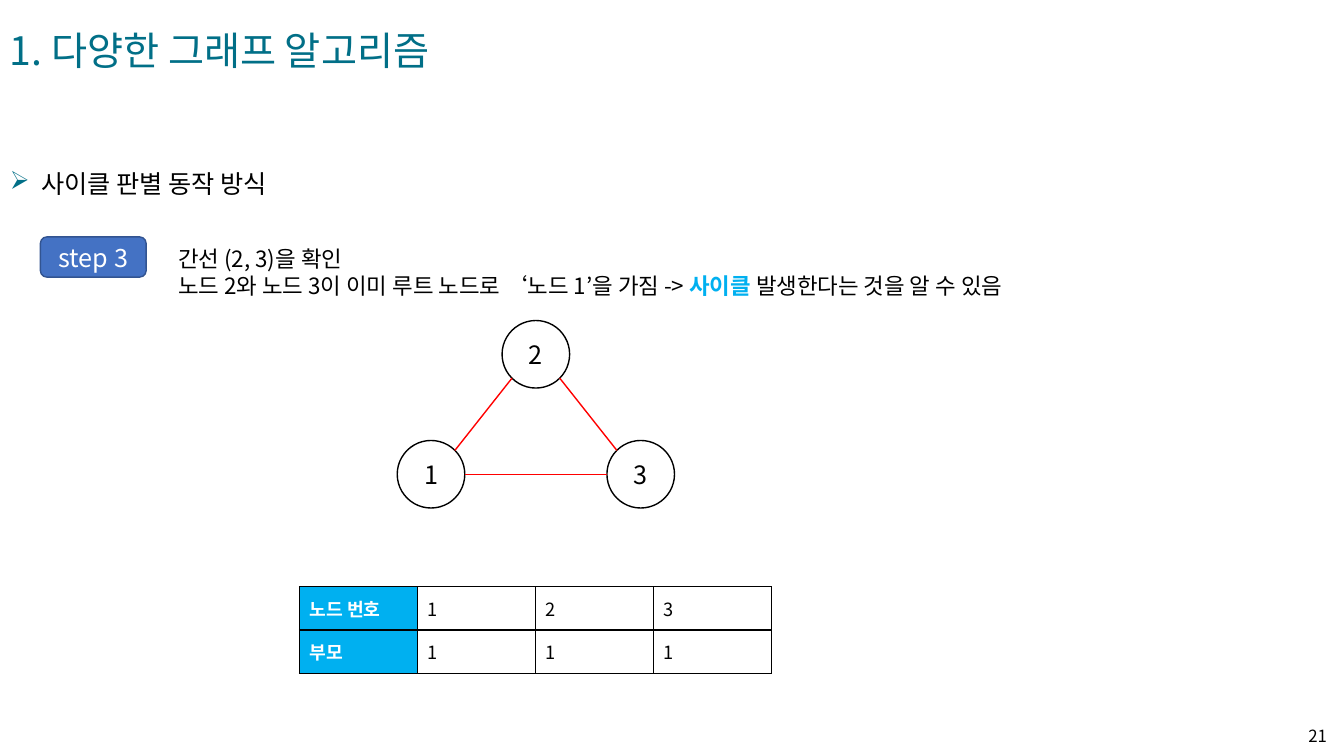
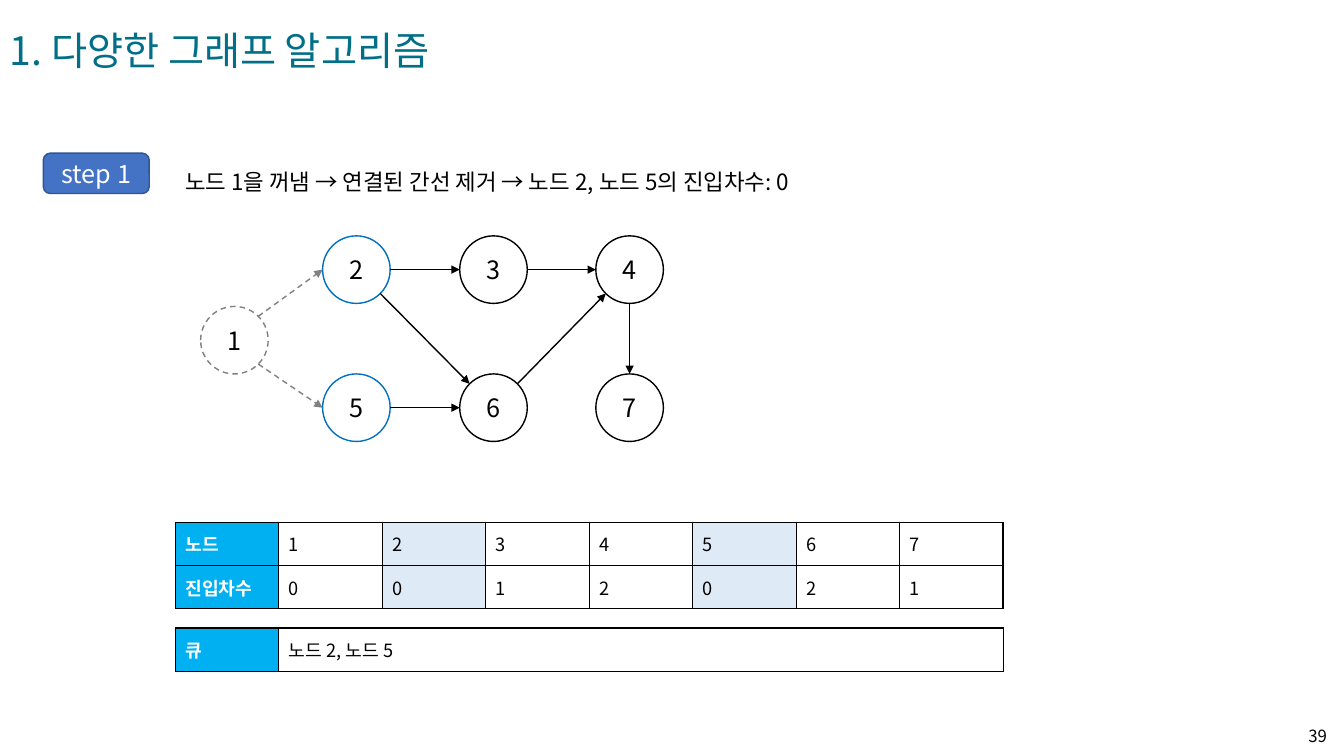
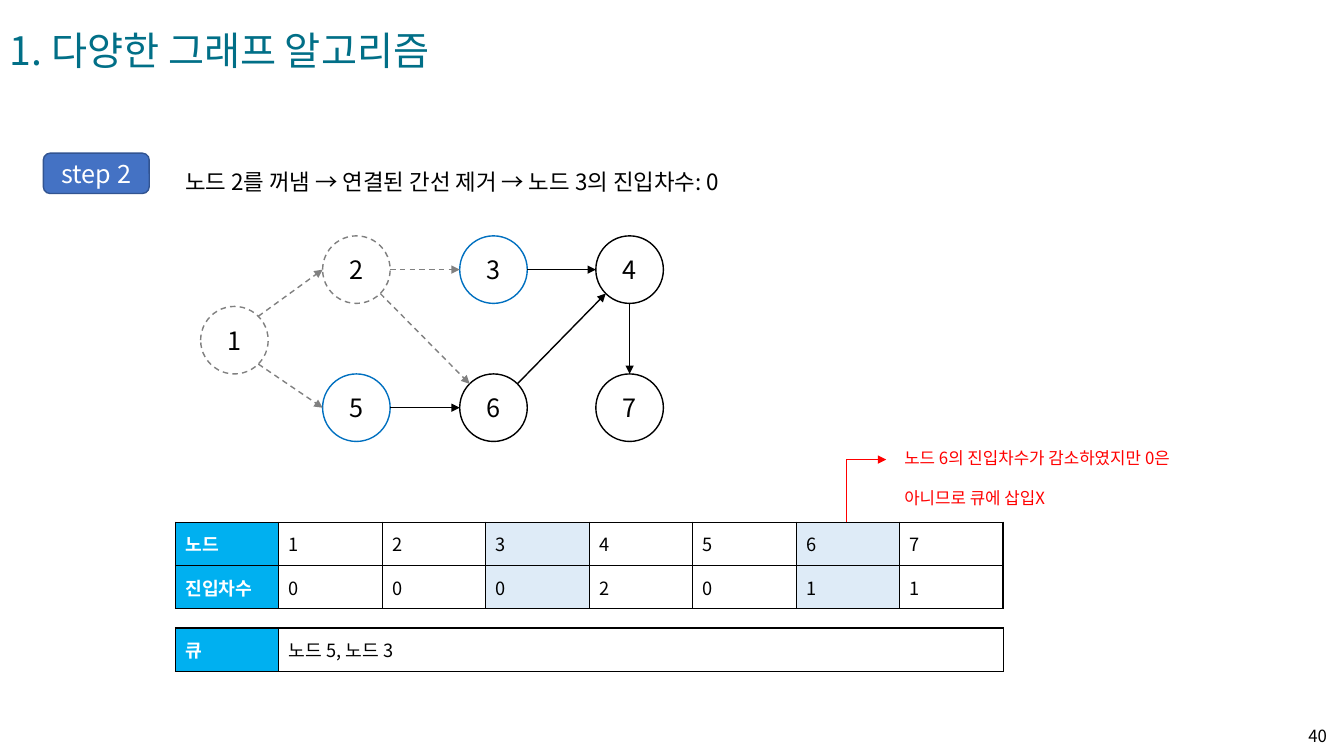
from dataclasses import dataclass

from lxml import etree
from pptx import Presentation
from pptx import util as u
from pptx.dml.color import RGBColor
from pptx.enum import dml, shapes, text
from pptx.oxml import ns

PX = 9144  # EMU per px, 100 px to the inch


@dataclass(frozen=True)
class Theme:
    font: str = "Noto Sans CJK KR"
    # colours
    teal: str = "016F87"
    black: str = "000000"
    white: str = "FFFFFF"
    badge: str = "4472C4"
    badge_line: str = "325491"
    header: str = "00B0F0"
    mark: str = "DEEBF7"
    gray: str = "808080"
    blue: str = "0070C0"
    red: str = "FF0000"
    # type sizes
    title: int = 28
    large: int = 18
    body: int = 16
    cell: int = 13
    small: int = 12


T = Theme()

# Node and edge states: colour, dashed
PLAIN, READY, REMOVED = (T.black, False), (T.blue, False), (T.gray, True)

DIAGONAL = 0.5 ** 0.5
RIM = {"n": (0, -1), "e": (1, 0), "s": (0, 1), "w": (-1, 0),
       "ne": (DIAGONAL, -DIAGONAL), "se": (DIAGONAL, DIAGONAL),
       "sw": (-DIAGONAL, DIAGONAL), "nw": (-DIAGONAL, -DIAGONAL)}
NODE = 67  # circle diameter

CYCLE_NODES = {1: (394, 437), 2: (498, 318), 3: (602, 437)}
CYCLE_EDGES = [(2, "sw", 1, "ne"), (1, "e", 3, "w"), (2, "se", 3, "nw")]

COLUMNS, ROWS = (320, 456, 591), (234, 371)
TOPO_NODES = {1: (199, 304)}
TOPO_NODES.update({2 + 3 * j + i: (x, y)
                   for j, y in enumerate(ROWS) for i, x in enumerate(COLUMNS)})
TOPO_EDGES = [(1, "ne", 2, "w"), (1, "se", 5, "w"), (2, "e", 3, "w"),
              (5, "e", 6, "w"), (2, "se", 6, "nw"), (6, "ne", 4, "sw"),
              (3, "e", 4, "w"), (4, "s", 7, "n")]


# ---- helpers ----
def emu(*lengths):
    return [round(v * PX) for v in lengths]


def rgb(value):
    return RGBColor.from_string(value)


def sub(parent, tag, **attrs):
    return etree.SubElement(parent, ns.qn(tag), attrs)


def add_run(p, words, size, color, bold=False):
    r = p.add_run()
    r.text = words
    r.font.size, r.font.bold, r.font.name = u.Pt(size), bold, T.font
    r.font.color.rgb = rgb(color)
    sub(r.font._element, "a:ea", typeface=T.font)


def style_line(line, color, width=1, dashed=False):
    line.color.rgb = rgb(color)
    line.width = u.Pt(width)
    if dashed:
        line.dash_style = dml.MSO_LINE.DASH


# ---- elements ----
def add_text(s, box, paragraphs, size, color=T.black, wrap=True, spacing=None):
    """Each paragraph is a list of (words, colour or None, bold) runs or plain strings."""
    tf = s.shapes.add_textbox(*emu(*box)).text_frame
    tf.word_wrap = wrap
    tf.auto_size = text.MSO_AUTO_SIZE.SHAPE_TO_FIT_TEXT
    for i, runs in enumerate(paragraphs):
        p = tf.add_paragraph() if i else tf.paragraphs[0]
        if spacing:
            p.line_spacing = spacing
        for run in runs:
            words, tint, bold = (run, color, False) if isinstance(run, str) else run
            add_run(p, words, size, tint, bold)
    return tf


def add_bullet(p, char, color, indent):
    pPr = p._p.get_or_add_pPr()
    pPr.set("marL", str(indent * PX))
    pPr.set("indent", str(-indent * PX))
    sub(sub(pPr, "a:buClr"), "a:srgbClr", val=color)
    sub(pPr, "a:buChar", char=char)


def add_label_shape(s, kind, box, words, color, fill, line, dashed=False):
    sp = s.shapes.add_shape(kind, *emu(*box))
    sp.shadow.inherit = False
    if fill:
        sp.fill.solid()
        sp.fill.fore_color.rgb = rgb(fill)
    else:
        sp.fill.background()
    style_line(sp.line, line, dashed=dashed)
    tf = sp.text_frame
    tf.vertical_anchor = text.MSO_ANCHOR.MIDDLE
    p = tf.paragraphs[0]
    p.alignment = text.PP_ALIGN.CENTER
    add_run(p, words, T.large, color)


def add_badge(s, x, y, words):
    add_label_shape(s, shapes.MSO_SHAPE.ROUNDED_RECTANGLE, (x, y, 105, 40),
                    words, T.white, T.badge, T.badge_line)


def add_line(s, start, end, color, width=1, dashed=False, arrow=True, elbow=False):
    kind = shapes.MSO_CONNECTOR.ELBOW if elbow else shapes.MSO_CONNECTOR.STRAIGHT
    c = s.shapes.add_connector(kind, *emu(*start, *end))
    style_line(c.line, color, width, dashed)
    if arrow:
        sub(c.line._get_or_add_ln(), "a:tailEnd", type="triangle")
    sub(c._element.spPr, "a:effectLst")
    if elbow:  # turn at the start: straight up, then across
        guides = c._element.spPr.prstGeom.get_or_add_avLst()
        sub(guides, "a:gd", name="adj1", fmla="val 0")


def rim_point(corner, side):
    return [c + NODE / 2 * (1 + d) for c, d in zip(corner, RIM[side])]


def add_graph(s, nodes, edges, states=None, edge_color=T.black, arrow=True):
    """Edges leaving a removed node are drawn like that node."""
    states = states or {}
    for name, corner in nodes.items():
        line, dashed = states.get(name, PLAIN)
        add_label_shape(s, shapes.MSO_SHAPE.OVAL, (*corner, NODE, NODE),
                        str(name), T.black, None, line, dashed)
    for a, side_a, b, side_b in edges:
        removed = states.get(a) == REMOVED
        color, dashed = REMOVED if removed else (edge_color, False)
        add_line(s, rim_point(nodes[a], side_a), rim_point(nodes[b], side_b),
                 color, dashed=dashed, arrow=arrow)


def add_grid(s, x, y, width, rows, weights=None, marked=()):
    """A table with a coloured first column; marked columns are tinted."""
    weights = weights or [1] * len(rows[0])
    height = 43
    frame = s.shapes.add_table(len(rows), len(weights),
                               *emu(x, y, width, height * len(rows)))
    table = frame.table
    table.first_row = table.horz_banding = False
    for column, weight in zip(table.columns, weights):
        column.width = round(width * PX * weight / sum(weights))
    for i, row in enumerate(rows):
        table.rows[i].height = height * PX
        for j, words in enumerate(row):
            cell = table.cell(i, j)
            cell.vertical_anchor = text.MSO_ANCHOR.MIDDLE
            tcPr = cell._tc.get_or_add_tcPr()
            for side in "LRTB":
                ln = sub(tcPr, "a:ln" + side, w=str(u.Pt(1)))
                sub(sub(ln, "a:solidFill"), "a:srgbClr", val=T.black)
            fill = T.header if j == 0 else T.mark if j in marked else None
            if fill:
                cell.fill.solid()
                cell.fill.fore_color.rgb = rgb(fill)
            else:
                cell.fill.background()
            add_run(cell.text_frame.paragraphs[0], words, T.cell,
                    T.black if j else T.white, j == 0)


# ---- slides ----
def new_slide(prs, page):
    """Blank slide with the shared title and page number."""
    s = prs.slides.add_slide(prs.slide_layouts[6])
    add_text(s, (0, 21, 485, 57), [["1. 다양한 그래프 알고리즘"]], T.title, T.teal, wrap=False)
    tf = add_text(s, (1269, 710, 57, 40), [[str(page)]], T.small)
    tf.auto_size = text.MSO_AUTO_SIZE.NONE
    tf.vertical_anchor = text.MSO_ANCHOR.MIDDLE
    tf.paragraphs[0].alignment = text.PP_ALIGN.RIGHT
    return s


def cycle_slide(prs):
    s = new_slide(prs, 21)
    tf = add_text(s, (0, 132, 674, 63), [["사이클 판별 동작 방식"]], T.large, spacing=2.0)
    add_bullet(tf.paragraphs[0], "➢", T.teal, 31)
    add_badge(s, 40, 235, "step 3")
    add_text(s, (167, 238, 998, 64), [
        ["간선 (2, 3)을 확인"],
        ["노드 2와 노드 3이 이미 루트 노드로 ‘노드 1’을 가짐 -> ",
         ("사이클", T.header, True), " 발생한다는 것을 알 수 있음"],
    ], T.body)
    add_graph(s, CYCLE_NODES, CYCLE_EDGES, edge_color=T.red, arrow=False)
    add_grid(s, 297, 582, 468, [["노드 번호", *"123"], ["부모", *"111"]])


def topology_slide(prs, page, step, words, states, degrees, marked, queue):
    s = new_slide(prs, page)
    add_badge(s, 43, 152, step)
    add_text(s, (174, 135, 811, 56), [[words]], T.body, spacing=2.0)
    add_graph(s, TOPO_NODES, TOPO_EDGES, states)
    add_grid(s, 174, 518, 821, [["노드", *"1234567"], ["진입차수", *degrees]], marked=marked)
    add_grid(s, 174, 623, 821, [["큐", queue]], weights=(1, 7))
    return s


def main():
    prs = Presentation()
    prs.slide_width, prs.slide_height = emu(1333, 750)

    cycle_slide(prs)
    topology_slide(prs, 39, "step 1",
                   "노드 1을 꺼냄 → 연결된 간선 제거 → 노드 2, 노드 5의 진입차수: 0",
                   {1: REMOVED, 2: READY, 5: READY}, "0012021", (2, 5), "노드 2, 노드 5")
    s = topology_slide(prs, 40, "step 2",
                       "노드 2를 꺼냄 → 연결된 간선 제거 → 노드 3의 진입차수: 0",
                       {1: REMOVED, 2: REMOVED, 3: READY, 5: READY},
                       "0002011", (3, 6), "노드 5, 노드 3")
    # note on node 6
    add_text(s, (887, 419, 331, 84),
             [["노드 6의 진입차수가 감소하였지만 0은 아니므로 큐에 삽입X"]],
             T.small, T.red, spacing=2.0)
    add_line(s, (839, 518), (879, 456), T.red, width=0.5, elbow=True)

    prs.save("out.pptx")


if __name__ == "__main__":
    main()
